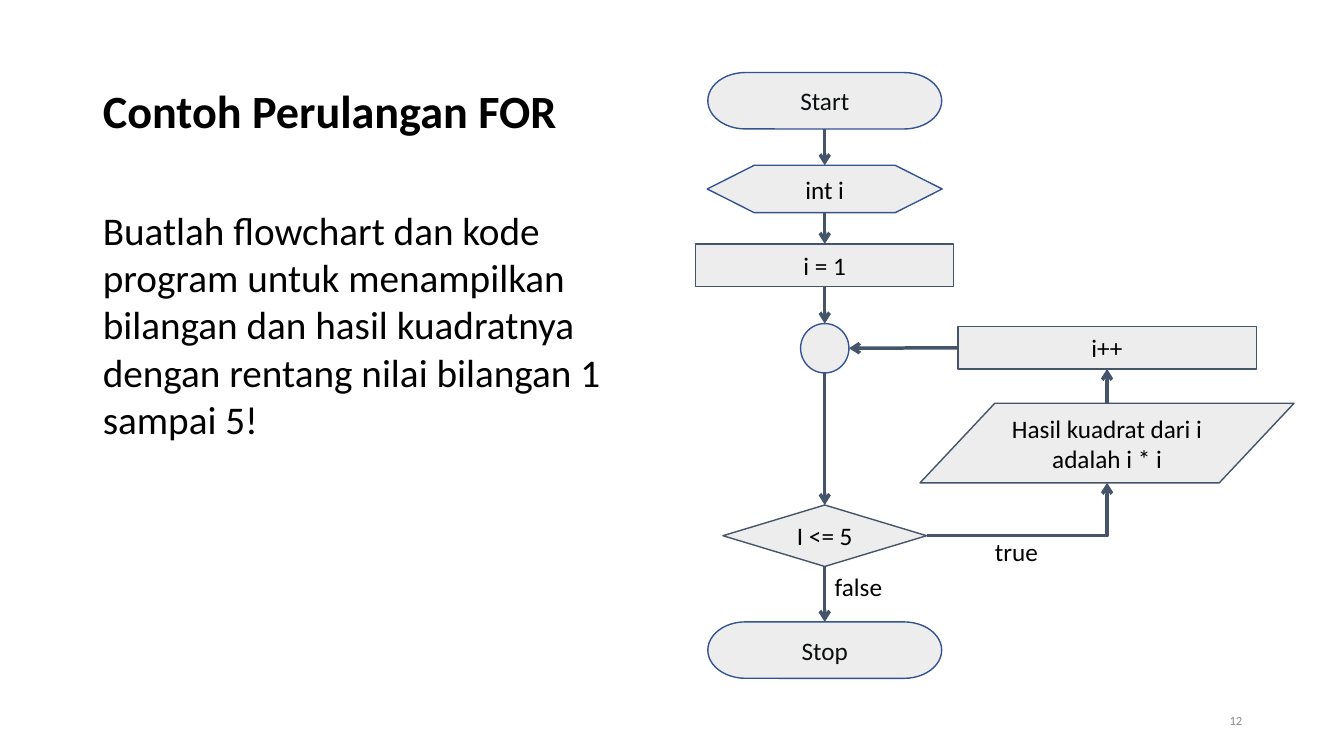
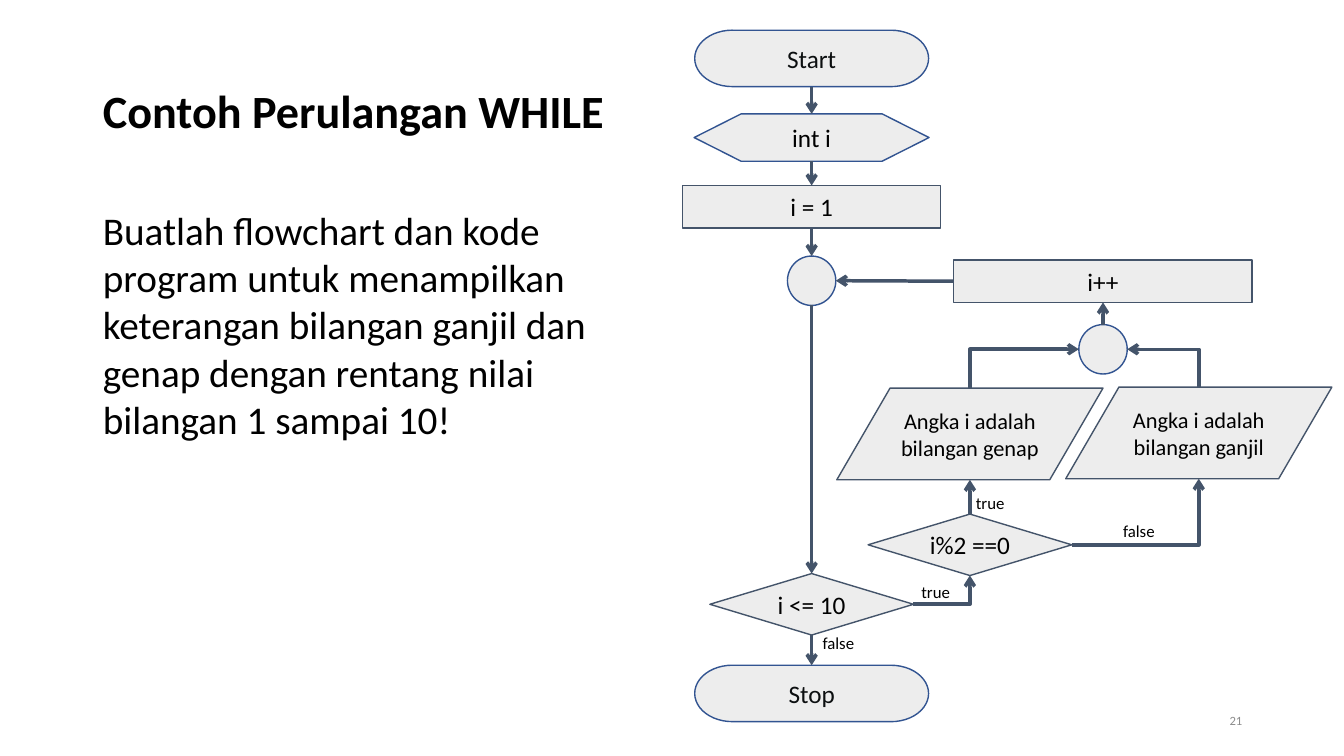
from dataclasses import dataclass
from lxml.etree import SubElement as Sub
from pptx import Presentation
from pptx.dml.color import RGBColor as RGB
from pptx.enum.shapes import MSO_CONNECTOR as Link, MSO_SHAPE as Form
from pptx.enum.text import MSO_ANCHOR as Anchor, MSO_AUTO_SIZE as Fit, PP_ALIGN as Align
from pptx.oxml.ns import qn
from pptx.util import Inches, Pt


@dataclass(frozen=True)
class Theme:
    font: str = "Calibri"
    text: str = "000000"
    ink: str = "0C0F10"
    fill: str = "EDEDED"
    slate: str = "44546A"
    blue: str = "325491"
    gray: str = "8C8C8C"
    head: int = 33
    body: int = 28
    node: int = 18
    note: int = 16
    tag: int = 12
    foot: int = 9
    edge: float = 1
    wire: float = 2.5


T = Theme()

KINDS = {
    "end": (Form.FLOWCHART_TERMINATOR, 2.32, 0.56, T.blue, T.ink, T.node),
    "prep": (Form.FLOWCHART_PREPARATION, 2.33, 0.47, T.blue, T.text, T.node),
    "step": (Form.FLOWCHART_PROCESS, 2.56, 0.42, T.slate, T.text, T.node),
    "next": (Form.FLOWCHART_PROCESS, 2.96, 0.42, T.slate, T.text, T.node),
    "join": (Form.FLOWCHART_CONNECTOR, 0.48, 0.49, T.blue, T.text, T.node),
    "test": (Form.FLOWCHART_DECISION, 2.02, 0.61, T.slate, T.text, T.node),
    "show": (Form.FLOWCHART_DATA, 3.71, 0.79, T.slate, T.text, T.node),
    "note": (Form.FLOWCHART_DATA, 2.64, 0.91, T.slate, T.text, T.note),
}

SITES = {
    "join": {"t": 0, "l": 2, "b": 4, "r": 6},
    "show": {"t": 1, "l": 2, "b": 4, "r": 5},
    "note": {"t": 1, "l": 2, "b": 4, "r": 5},
}
SIDES = {"t": 0, "l": 1, "b": 2, "r": 3}

SPINE = ["start.b int.t", "int.b set.t", "set.b loop.t", "loop.b test.t",
         "test.b stop.t", "next.l loop.r"]

SLIDES = [
    {
        "title": "Contoh Perulangan FOR",
        "body": "Buatlah flowchart dan kode program untuk menampilkan bilangan "
                "dan hasil kuadratnya dengan rentang nilai bilangan 1 sampai 5!",
        "page": "12",
        "nodes": {
            "start": ("end", "Start", 8.18, 0.72),
            "int": ("prep", "int i", 8.18, 1.64),
            "set": ("step", "i = 1", 8.18, 2.42),
            "loop": ("join", "", 8.18, 3.21),
            "test": ("test", "I <= 5", 8.18, 5.01),
            "stop": ("end", "Stop", 8.18, 6.17),
            "next": ("next", "i++", 10.98, 3.24),
            "show": ("show", "Hasil kuadrat dari i adalah i * i", 10.98, 4),
        },
        "links": SPINE + ["test.r show.b", "show.t next.b"],
        "tags": [("true", 9.77, 5.27, 0.64), ("false", 8.18, 5.62, 0.68)],
        "size": T.node,
    },
    {
        "title": "Contoh Perulangan WHILE",
        "body": "Buatlah flowchart dan kode program untuk menampilkan keterangan "
                "bilangan ganjil dan genap dengan rentang nilai bilangan 1 sampai 10!",
        "page": "21",
        "nodes": {
            "start": ("end", "Start", 8.05, 0.3),
            "int": ("prep", "int i", 8.05, 1.13),
            "set": ("step", "i = 1", 8.05, 1.84),
            "loop": ("join", "", 8.05, 2.54),
            "test": ("test", "i <= 10", 8.05, 5.69),
            "stop": ("end", "Stop", 8.05, 6.6),
            "next": ("next", "i++", 10.94, 2.58),
            "merge": ("join", "", 10.94, 3.22),
            "even": ("note", "Angka i adalah bilangan genap", 9.62, 3.85),
            "odd": ("note", "Angka i adalah bilangan ganjil", 11.89, 3.84),
            "mod": ("test", "i%2 ==0", 9.62, 5.1),
        },
        "links": SPINE + ["test.r mod.b", "mod.t even.b", "mod.r odd.b",
                          "even.t merge.l", "odd.t merge.r", "merge.t next.b"],
        "tags": [("true", 9.04, 5.72, 0.49), ("false", 8.06, 6.23, 0.52),
                 ("true", 9.58, 4.84, 0.49), ("false", 11.04, 5.12, 0.52)],
        "size": T.tag,
    },
]


def write(shape, text, size, color=T.text, align=Align.LEFT, bold=False):
    frame = shape.text_frame
    frame.text = text
    para = frame.paragraphs[0]
    para.alignment = align
    for run in para.runs:
        font = run.font
        font.name, font.size, font.bold = T.font, Pt(size), bold
        font.color.rgb = RGB.from_string(color)
    return para


def place(shape, *box):
    shape.left, shape.top, shape.width, shape.height = map(Inches, box)


def label(slide, text, box, size, **look):
    area = slide.shapes.add_textbox(*map(Inches, box))
    write(area, text, size, **look)
    return area.text_frame


def draw(slide, kind, text, mid, top):
    form, wide, high, edge, color, size = KINDS[kind]
    box = (mid - wide / 2, top, wide, high)
    shape = slide.shapes.add_shape(form, *map(Inches, box))
    shape.shadow.inherit = False
    shape.fill.solid()
    shape.fill.fore_color.rgb = RGB.from_string(T.fill)
    shape.line.color.rgb = RGB.from_string(edge)
    shape.line.width = Pt(T.edge)
    if text:
        frame = shape.text_frame
        frame.word_wrap = True
        frame.vertical_anchor = Anchor.MIDDLE
        frame.margin_left = frame.margin_right = Inches(0.05)
        write(shape, text, size, color, Align.CENTER)
    return shape


def port(shape, side):
    across = {"l": 0, "r": 2}.get(side, 1)
    down = {"t": 0, "b": 2}.get(side, 1)
    return (shape.left + shape.width * across // 2,
            shape.top + shape.height * down // 2)


def join(slide, nodes, shapes, link):
    ends = [end.split(".") for end in link.split()]
    bent = (ends[0][1] in "lr") != (ends[1][1] in "lr")
    flip = bent and ends[0][1] in "tb"
    if flip:
        ends.reverse()
    (ax, ay), (bx, by) = [port(shapes[name], side) for name, side in ends]
    wire = slide.shapes.add_connector(
        Link.ELBOW if bent else Link.STRAIGHT, ax, ay, bx, by)
    wire.line.color.rgb = RGB.from_string(T.slate)
    wire.line.width = Pt(T.wire)
    root = wire._element
    if bent:
        root.find(".//" + qn("a:prstGeom")).set("prst", "bentConnector2")
    glue = root.find(".//" + qn("p:cNvCxnSpPr"))
    for tag, (name, side) in zip(("a:stCxn", "a:endCxn"), ends):
        site = SITES.get(nodes[name][0], SIDES)[side]
        Sub(glue, qn(tag), id=str(shapes[name].shape_id), idx=str(site))
    tip = "a:headEnd" if flip else "a:tailEnd"
    Sub(root.find(".//" + qn("a:ln")), qn(tip), type="arrow")
    Sub(root.spPr, qn("a:effectLst"))


def prose(slide, data):
    title, body = slide.shapes.title, slide.placeholders[1]
    para = write(title, data["title"], T.head, bold=True)
    para.line_spacing = 0.9
    para = write(body, data["body"], T.body)
    para.space_before = Pt(7.5)
    props = para._p.get_or_add_pPr()
    props.set("marL", "0")
    props.set("indent", "0")
    Sub(props, qn("a:buNone"))
    for shape in (title, body):
        shape.text_frame.auto_size = Fit.NONE


def build(deck, layout, data):
    slide = deck.slides.add_slide(layout)
    prose(slide, data)
    nodes = data["nodes"]
    shapes = {name: draw(slide, *node) for name, node in nodes.items()}
    for link in data["links"]:
        join(slide, nodes, shapes, link)
    for text, left, top, wide in data["tags"]:
        high = 0.4 if data["size"] == T.node else 0.3
        frame = label(slide, text, (left, top, wide, high), data["size"])
        frame.word_wrap = False
        frame.auto_size = Fit.SHAPE_TO_FIT_TEXT
    foot = label(slide, data["page"], (9.42, 6.95, 3, 0.4), T.foot,
                 color=T.gray, align=Align.RIGHT)
    foot.word_wrap = True
    foot.vertical_anchor = Anchor.MIDDLE


def main():
    deck = Presentation()
    deck.slide_width, deck.slide_height = Inches(13.33), Inches(7.5)
    layout = deck.slide_layouts[1]
    place(layout.placeholders[0], 0.92, 0.4, 10.83, 1.45)
    place(layout.placeholders[1], 0.92, 2, 5.4, 4.76)
    for data in SLIDES:
        build(deck, layout, data)
    deck.save("out.pptx")


if __name__ == "__main__":
    main()
